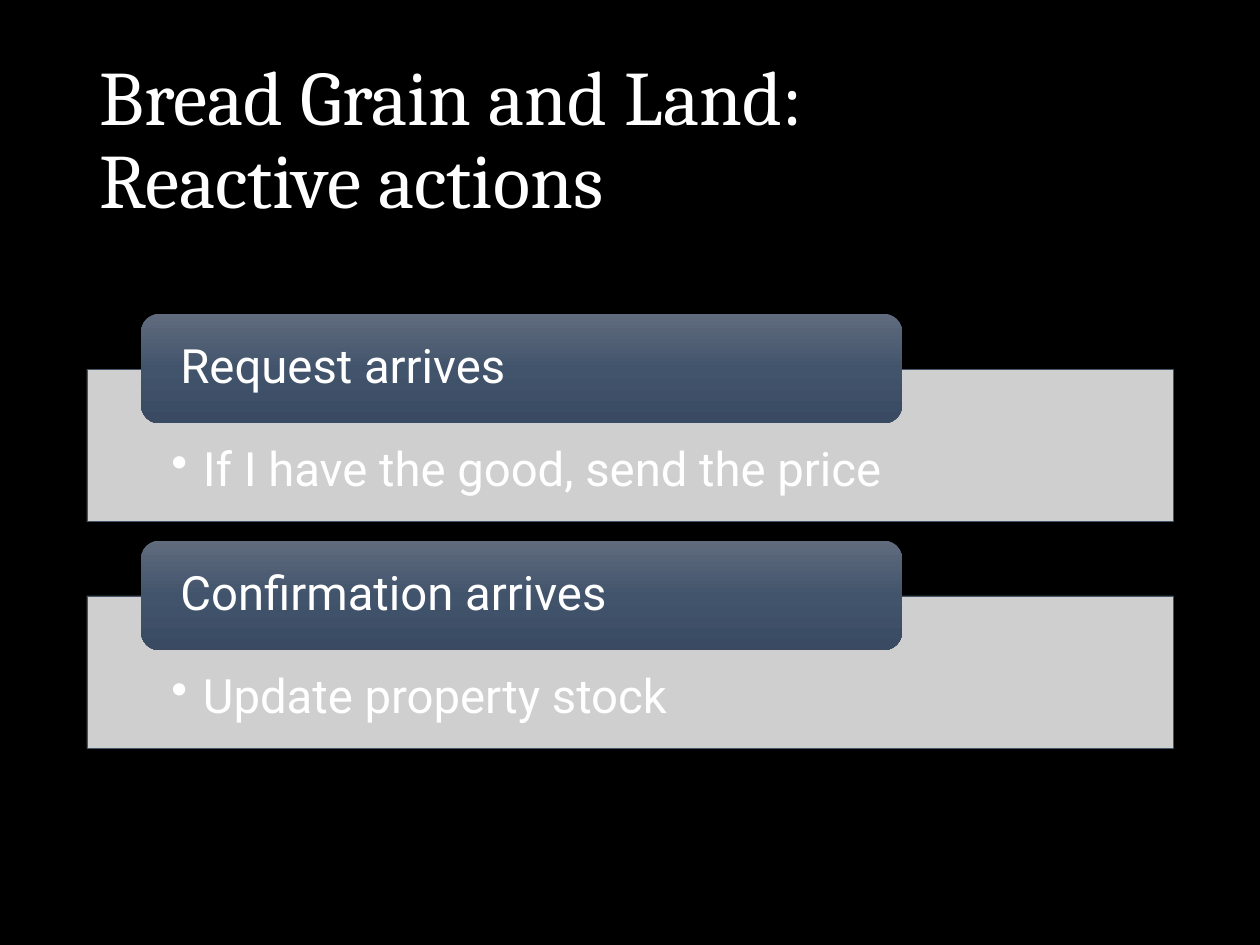
from copy import deepcopy
from dataclasses import dataclass
from lxml import etree
from pptx import Presentation
from pptx.dml.color import RGBColor
from pptx.enum import shapes, text
from pptx.oxml import ns
from pptx.util import Inches, Pt

TITLE = "Bread Grain and Land: \vReactive actions"
RULES = [
    ("Request arrives", "If I have the good, send the price"),
    ("Confirmation arrives", "Update property stock"),
]


@dataclass
class Theme:
    back: str = "000000"
    ink: str = "FFFFFF"
    panel: str = "E7E6E6"
    edge: str = "44546A"
    grad: tuple = ((0, "606B7D"), (0.5, "42546C"), (1, "394A62"))
    head: str = "Cambria"
    body: str = "Roboto"
    big: int = 44
    mid: int = 27


LOOK = Theme()
LEFT, WIDE = 0.69, 8.62
TOP, STEP = 2.93, 1.8
rgb = RGBColor.from_string


def style(para, font, size, after=0):
    para.alignment = text.PP_ALIGN.LEFT
    para.line_spacing = 0.9
    para.space_after = Pt(after)
    for run in para.runs:
        run.font.name = font
        run.font.size = Pt(size)
        run.font.color.rgb = rgb(LOOK.ink)


def inset(frame, left, top, right, low):
    frame.margin_left, frame.margin_top = Inches(left), Inches(top)
    frame.margin_right, frame.margin_bottom = Inches(right), Inches(low)


def block(kind, box, words, anchor, pads, after):
    shape = slide.shapes.add_shape(kind, *map(Inches, box))
    shape.shadow.inherit = False
    frame = shape.text_frame
    frame.word_wrap = True
    frame.vertical_anchor = anchor
    inset(frame, *pads)
    frame.text = words
    style(frame.paragraphs[0], LOOK.body, LOOK.mid, after)
    return shape


def bullet(para):
    props = para._p.get_or_add_pPr()
    props.set("marL", str(Inches(0.25)))
    props.set("indent", str(-Inches(0.25)))
    etree.SubElement(props, ns.qn("a:buChar")).set("char", "•")


def shade(fill):
    fill.gradient()
    fill.gradient_angle = 270
    first = fill.gradient_stops[0]._gs
    first.addnext(deepcopy(first))
    for stop, (pos, color) in zip(fill.gradient_stops, LOOK.grad):
        stop.position = pos
        stop.color.rgb = rgb(color)


def panel(top, words):
    shape = block(shapes.MSO_SHAPE.RECTANGLE, (LEFT, top, WIDE, 1.21), words,
                  text.MSO_ANCHOR.TOP, (0.67, 0.61, 0.67, 0.21), 4)
    bullet(shape.text_frame.paragraphs[0])
    shape.fill.solid()
    shape.fill.fore_color.rgb = rgb(LOOK.panel)
    tint = shape.fill._xPr.find(".//" + ns.qn("a:srgbClr"))
    etree.SubElement(tint, ns.qn("a:alpha")).set("val", "90000")
    shape.line.color.rgb = rgb(LOOK.edge)
    shape.line.width = Pt(0.5)


def card(top, words):
    shape = block(shapes.MSO_SHAPE.ROUNDED_RECTANGLE,
                  (LEFT + 0.43, top - 0.44, 6.04, 0.87), words,
                  text.MSO_ANCHOR.MIDDLE, (0.27, 0.04, 0.27, 0.04), 9)
    shade(shape.fill)
    shape.line.fill.background()


deck = Presentation()
deck.slide_width, deck.slide_height = Inches(10), Inches(7.5)
slide = deck.slides.add_slide(deck.slide_layouts[5])
slide.background.fill.solid()
slide.background.fill.fore_color.rgb = rgb(LOOK.back)

title = slide.shapes.title
title.left, title.top = Inches(LEFT), Inches(0.4)
title.width, title.height = Inches(WIDE), Inches(1.45)
title.text_frame.text = TITLE
title.text_frame.vertical_anchor = text.MSO_ANCHOR.MIDDLE
style(title.text_frame.paragraphs[0], LOOK.head, LOOK.big)

for row, (event, action) in enumerate(RULES):
    top = TOP + row * STEP
    panel(top, action)
    card(top, event)

deck.save("out.pptx")
